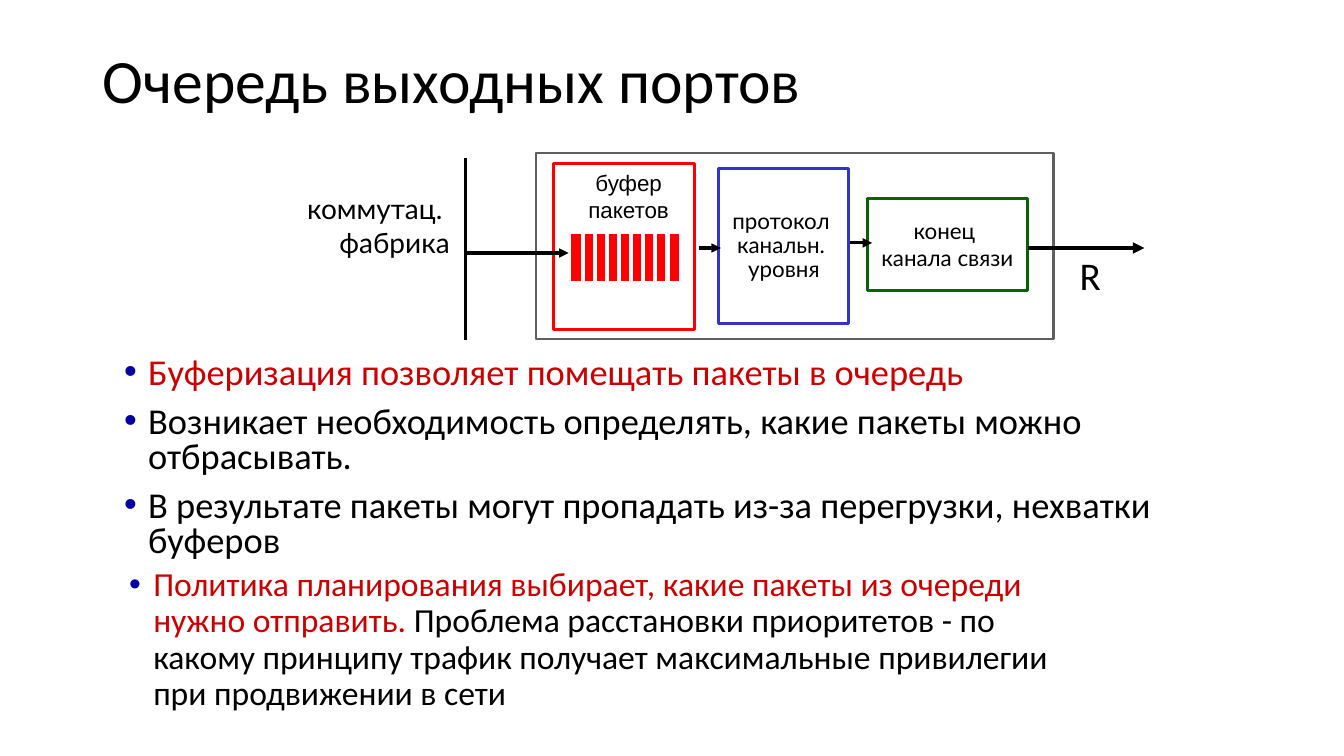
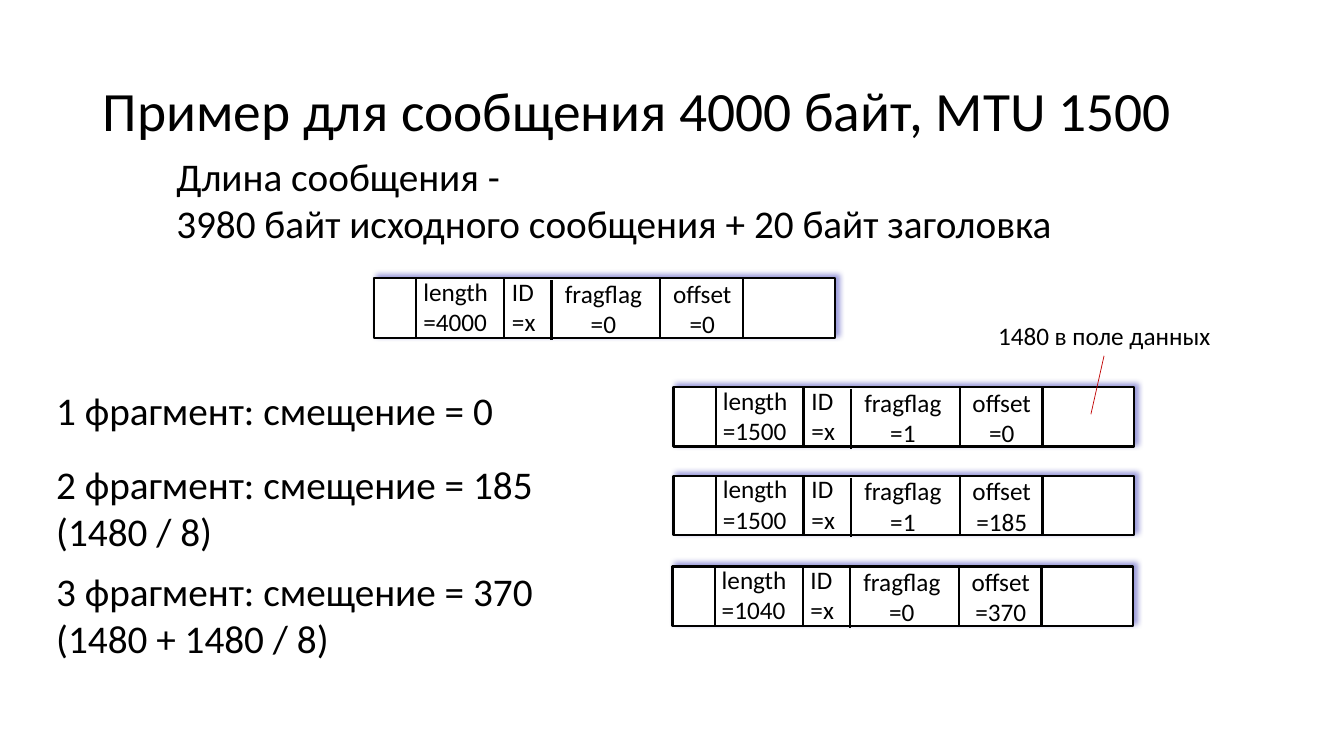
"""Build two slides on output port queues and message fragmentation."""
from dataclasses import dataclass

from lxml import etree
from pptx import Presentation
from pptx.dml.color import RGBColor
from pptx.enum.shapes import MSO_CONNECTOR, MSO_SHAPE
from pptx.enum.text import MSO_ANCHOR, MSO_AUTO_SIZE, PP_ALIGN
from pptx.oxml.ns import qn
from pptx.util import Inches, Pt

LEFT, CENTER, RIGHT = PP_ALIGN.LEFT, PP_ALIGN.CENTER, PP_ALIGN.RIGHT
TOP, MIDDLE = MSO_ANCHOR.TOP, MSO_ANCHOR.MIDDLE
RECTANGLE, STRAIGHT = MSO_SHAPE.RECTANGLE, MSO_CONNECTOR.STRAIGHT
NO_AUTOFIT = MSO_AUTO_SIZE.NONE
TWO_CONTENT, TITLE_ONLY = 3, 5


@dataclass(frozen=True)
class Theme:
    """Colours, fonts and type sizes shared by the slides."""
    black: str = "000000"
    white: str = "FFFFFF"
    emphasis: str = "CC0000"
    bullet: str = "0000A3"
    frame: str = "5F5F5F"
    buffer: str = "FF0000"
    protocol: str = "3333CC"
    link: str = "006600"
    callout: str = "C00000"
    font: str = "Calibri"
    diagram_font: str = "Lato"
    buffer_font: str = "Arial"
    title: float = 44
    long_title: float = 39.6
    large: float = 28
    list: float = 26
    policy: float = 24
    fabric: float = 20
    field: float = 18
    block: float = 16


THEME = Theme()

QUEUE_TITLE = "Очередь выходных портов"
QUEUE_POINTS = [
    [("Буферизация позволяет помещать пакеты в очередь", THEME.emphasis)],
    [("Возникает необходимость определять, какие пакеты можно отбрасывать.", THEME.black)],
    [("В результате пакеты могут пропадать из-за перегрузки, нехватки буферов", THEME.black)],
]
POLICY_POINTS = [[
    ("Политика планирования выбирает, какие пакеты из очереди нужно отправить. ", THEME.emphasis),
    ("Проблема расстановки приоритетов - по какому принципу трафик получает "
     "максимальные привилегии при продвижении в сети", THEME.black),
]]
PORT_BLOCKS = [
    ((5.32, 1.52, 5.13, 1.84), THEME.frame, 1.5, [], 1),
    ((8.6, 1.97, 1.59, 0.91), THEME.link, 2.25, ["конец ", "канала связи"], 1),
    ((7.13, 1.67, 1.29, 1.54), THEME.protocol, 2.25,
     ["протокол ", "канальн. ", "уровня"], 0.9),
    ((5.49, 1.62, 1.4, 1.65), THEME.buffer, 2.25, [], 1),
]
PORT_ARROWS = [
    ((6.93, 2.46), (7.15, 2.46), 2.25),
    ((8.43, 2.41), (8.65, 2.41), 2.25),
    ((4.6, 2.51), (5.64, 2.51), 2.25),
    ((10.2, 2.46), (11.35, 2.46), 2.75),
]
QUEUE_BOX = (5.64, 2.3, 1.12, 0.51)
QUEUE_GAPS, QUEUE_FIRST_GAP, QUEUE_STEP = 8, 5.78, 0.12

FRAGMENT_TITLE = "Пример для сообщения 4000 байт, MTU 1500"
MESSAGE_LENGTH = ["Длина сообщения -", "3980 байт исходного сообщения + 20 байт заголовка"]
PACKETS = [
    (3.71, 2.76, ("4000", "x", "0", "0")),
    (6.68, 3.84, ("1500", "x", "1", "0")),
    (6.68, 4.72, ("1500", "x", "1", "185")),
    (6.67, 5.62, ("1040", "x", "0", "370")),
]
PACKET_SIZE = (4.57, 0.59)
PACKET_FIELDS = [
    ("length", 0.39, -0.07, 0.85, LEFT),
    ("ID", 1.27, -0.07, 0.47, LEFT),
    ("fragflag", 1.76, -0.05, 1.03, CENTER),
    ("offset", 2.85, -0.05, 0.81, CENTER),
]
PACKET_DIVIDERS = [(0.42, 0), (1.29, 0), (1.76, 0.02), (2.84, 0), (3.66, 0)]
FRAGMENTS = [
    ("1 фрагмент: смещение = 0", 3.78, 0.57),
    ("2 фрагмент: смещение = 185 (1480 / 8)", 4.52, 1.04),
    ("3 фрагмент: смещение = 370 (1480 + 1480 / 8)", 5.58, 1.04),
]
DATA_NOTE = "1480 в поле данных"


def color(value):
    """Turn a hex value into a colour."""
    return RGBColor.from_string(value)


def place(shape, box):
    """Move and resize a shape."""
    shape.left, shape.top, shape.width, shape.height = map(Inches, box)


def style_font(paragraph, size, name=THEME.font, value=THEME.black):
    """Set the font of a whole paragraph."""
    paragraph.font.size = Pt(size)
    paragraph.font.name = name
    paragraph.font.color.rgb = color(value)


def write(shape, lines, size, name=THEME.font, align=LEFT, anchor=TOP, wrap=False, spacing=1):
    """Write one paragraph per line into a shape."""
    frame = shape.text_frame
    frame.auto_size = NO_AUTOFIT
    frame.word_wrap = wrap
    frame.vertical_anchor = anchor
    frame.text = "\n".join(lines)
    for paragraph in frame.paragraphs:
        paragraph.alignment = align
        paragraph.line_spacing = spacing
        style_font(paragraph, size, name)


def add_title(slide, text, box, size):
    """Fill the title placeholder."""
    place(slide.shapes.title, box)
    write(slide.shapes.title, [text], size, anchor=MIDDLE, wrap=True, spacing=0.9)


def add_label(slide, lines, box, size, **options):
    """Add a text box."""
    write(slide.shapes.add_textbox(*map(Inches, box)), lines, size, **options)


def fill_list(placeholder, box, items, size, spacing):
    """Fill a body placeholder with bulleted items made of coloured runs."""
    place(placeholder, box)
    frame = placeholder.text_frame
    frame.auto_size = NO_AUTOFIT
    for index, runs in enumerate(items):
        paragraph = frame.add_paragraph() if index else frame.paragraphs[0]
        paragraph.line_spacing = spacing
        paragraph.space_before = Pt(10)
        properties = paragraph._p.get_or_add_pPr()
        properties.set("marL", str(Inches(0.39)))
        properties.set("indent", str(Inches(-0.24)))
        bullet_color = etree.SubElement(properties, qn("a:buClr"))
        etree.SubElement(bullet_color, qn("a:srgbClr"), val=THEME.bullet)
        etree.SubElement(properties, qn("a:buChar"), char="•")
        style_font(paragraph, size)
        for text, value in runs:
            run = paragraph.add_run()
            run.text = text
            run.font.color.rgb = color(value)


def add_box(slide, box, line, width, fill=THEME.white):
    """Add an outlined rectangle without a shadow."""
    shape = slide.shapes.add_shape(RECTANGLE, *map(Inches, box))
    shape.fill.solid()
    shape.fill.fore_color.rgb = color(fill)
    shape.line.color.rgb = color(line)
    shape.line.width = Pt(width)
    shape.shadow.inherit = False
    return shape


def add_line(slide, start, end, width, value=THEME.black, arrow=False):
    """Add a straight line or arrow."""
    connector = slide.shapes.add_connector(STRAIGHT, *map(Inches, (*start, *end)))
    connector.line.color.rgb = color(value)
    connector.line.width = Pt(width)
    if arrow:
        etree.SubElement(connector.line._get_or_add_ln(), qn("a:tailEnd"), type="triangle")
    etree.SubElement(connector._element.spPr, qn("a:effectLst"))


def add_glow(shape):
    """Give a shape a soft blue shadow to the upper right."""
    effects = shape._element.spPr.find(qn("a:effectLst"))
    shadow = etree.SubElement(effects, qn("a:outerShdw"), blurRad=str(Pt(4)), dist=str(Pt(3)),
                              dir=str(315 * 60000), algn="ctr", rotWithShape="0")
    shade = etree.SubElement(shadow, qn("a:srgbClr"), val=THEME.bullet)
    etree.SubElement(shade, qn("a:alpha"), val="40000")


def add_packet(slide, left, top, values):
    """Draw a packet header with its fields."""
    width, height = PACKET_SIZE
    add_glow(add_box(slide, (left, top, width, height), THEME.black, 1.5))
    for (name, x, y, field_width, align), value in zip(PACKET_FIELDS, values):
        add_label(slide, [name, f"={value}"], (left + x, top + y, field_width, 0.7),
                  THEME.field, align=align)
    for x, drop in PACKET_DIVIDERS:
        add_line(slide, (left + x, top + drop), (left + x, top + height + drop), 1.5)


def build_queue_slide(presentation):
    """Build the output port queue slide."""
    slide = presentation.slides.add_slide(presentation.slide_layouts[TWO_CONTENT])
    add_title(slide, QUEUE_TITLE, (0.92, 0.34, 11.5, 0.98), THEME.title)
    fill_list(slide.placeholders[1], (0.98, 3.5, 11.37, 2.18), QUEUE_POINTS, THEME.list, 0.8)
    fill_list(slide.placeholders[2], (1.03, 5.58, 9.94, 1.87), POLICY_POINTS, THEME.policy, 0.9)
    for box, line, width, lines, spacing in PORT_BLOCKS:
        block = add_box(slide, box, line, width)
        if lines:
            write(block, lines, THEME.block, THEME.diagram_font, CENTER, MIDDLE, spacing=spacing)
    add_label(slide, ["коммутац. ", "фабрика"], (2.8, 1.9, 1.76, 0.67), THEME.fabric,
              name=THEME.diagram_font, align=RIGHT, anchor=MIDDLE)
    add_label(slide, ["буфер пакетов"], (5.59, 1.63, 1.29, 0.64), THEME.block,
              name=THEME.buffer_font, align=CENTER, wrap=True)
    add_box(slide, QUEUE_BOX, THEME.white, 3, THEME.buffer)
    for index in range(QUEUE_GAPS):
        x = QUEUE_FIRST_GAP + index * QUEUE_STEP
        add_line(slide, (x, 2.31), (x, 2.8), 3, THEME.white)
    add_line(slide, (4.62, 1.57), (4.62, 3.37), 2.25)
    for start, end, width in PORT_ARROWS:
        add_line(slide, start, end, width, arrow=True)
    add_label(slide, ["R"], (10.61, 2.44, 0.42, 0.57), THEME.large)


def build_fragment_slide(presentation):
    """Build the fragmentation example slide."""
    slide = presentation.slides.add_slide(presentation.slide_layouts[TITLE_ONLY])
    add_title(slide, FRAGMENT_TITLE, (0.92, 0.4, 11.5, 1.45), THEME.long_title)
    for packet in PACKETS:
        add_packet(slide, *packet)
    add_label(slide, [DATA_NOTE], (9.8, 3.13, 2.31, 0.4), THEME.field)
    for text, top, height in FRAGMENTS:
        add_label(slide, [text], (0.46, top, 5.56, height), THEME.large, wrap=True)
    add_line(slide, (10.95, 3.53), (10.82, 4.11), 0.5, THEME.callout)
    add_label(slide, MESSAGE_LENGTH, (1.65, 1.46, 8.89, 1.04), THEME.large)


def main():
    """Build and save the presentation."""
    presentation = Presentation()
    presentation.slide_width, presentation.slide_height = Inches(13.33), Inches(7.5)
    build_queue_slide(presentation)
    build_fragment_slide(presentation)
    presentation.save("out.pptx")


if __name__ == "__main__":
    main()
